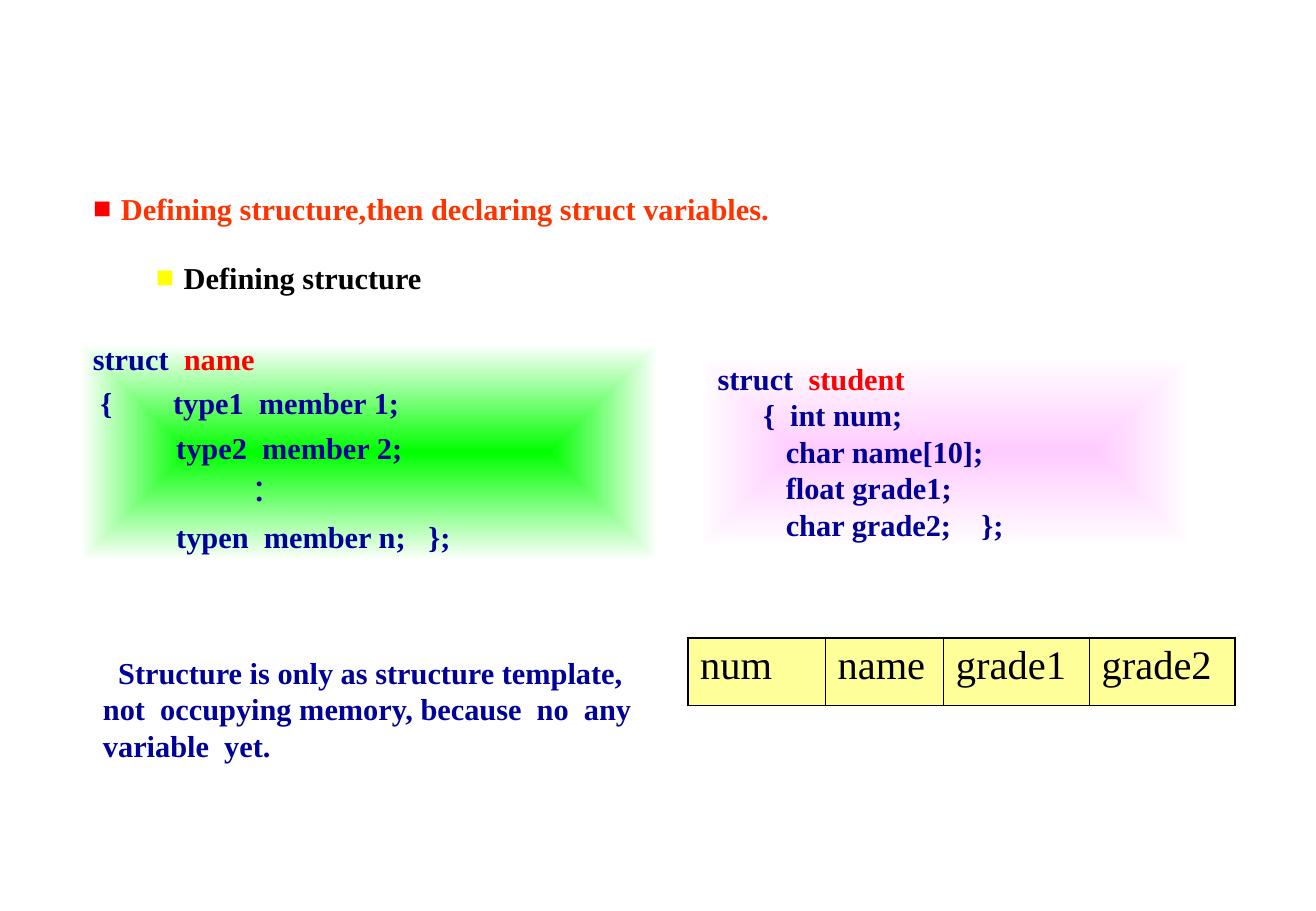
from pptx import Presentation
from pptx.dml.color import RGBColor
from pptx.enum.shapes import MSO_SHAPE
from pptx.enum.text import MSO_ANCHOR, MSO_AUTO_SIZE, PP_ALIGN
from pptx.oxml import parse_xml
from pptx.oxml.ns import nsdecls, qn
from pptx.util import Inches, Pt

RECTANGLE = MSO_SHAPE.RECTANGLE
TOP = MSO_ANCHOR.TOP
LEFT = PP_ALIGN.LEFT
FIXED_SIZE = MSO_AUTO_SIZE.NONE

NAVY = RGBColor(0x00, 0x00, 0x99)
RED = RGBColor(0xFF, 0x00, 0x00)
ORANGE = RGBColor(0xFF, 0x33, 0x00)
YELLOW = RGBColor(0xFF, 0xFF, 0x00)
PALE_YELLOW = RGBColor(0xFF, 0xFF, 0x99)
GREEN = RGBColor(0x00, 0xFF, 0x00)
PINK = RGBColor(0xFF, 0xCC, 0xFF)
BLACK = RGBColor(0x00, 0x00, 0x00)
WHITE = RGBColor(0xFF, 0xFF, 0xFF)

FONT = "Times New Roman"
THICK, THIN = Pt(1.08), Pt(0.45)

TEMPLATE_CODE = [
    "struct  ",
    " {        type1  member 1;",
    "           type2  member 2;",
    "                      ︰",
    "           typen  member n;   };",
]
STUDENT_CODE = [
    " struct  ",
    "       {  int num;",
    "          char name[10];",
    "          float grade1;",
    "          char grade2;    };",
]
MEMBERS = ["num", "name", "grade1", "grade2"]
MEMBER_WIDTHS = [13.6, 11.7, 14.4, 14.4]


def grid(cells):
    """Length of a number of grid cells, twelve to the inch."""
    return Inches(cells / 12)


def place(shape, left, top, width, height):
    shape.left, shape.top = grid(left), grid(top)
    shape.width, shape.height = grid(width), grid(height)


def prepare(frame, wrap=True):
    frame.word_wrap = wrap
    frame.auto_size = FIXED_SIZE
    frame.vertical_anchor = TOP


def write(paragraph, text, size=18, color=NAVY, bold=True, line_spacing=1.0, before=0):
    """Add a run of text to a paragraph and format both."""
    paragraph.alignment = LEFT
    paragraph.line_spacing = line_spacing
    paragraph.space_before = Pt(before)
    run = paragraph.add_run()
    run.text = text
    font = run.font
    font.name, font.size, font.bold = FONT, Pt(size), bold
    font.color.rgb = color


def set_indent(paragraph, margin, indent):
    properties = paragraph._p.get_or_add_pPr()
    properties.set("marL", str(Inches(margin)))
    properties.set("indent", str(Inches(indent)))
    return properties


def write_bullet(placeholder, box, text, color, bullet_color, wrap=True):
    place(placeholder, *box)
    prepare(placeholder.text_frame, wrap)
    paragraph = placeholder.text_frame.paragraphs[0]
    properties = set_indent(paragraph, 0.23, -0.23)
    for tag in (
        f'<a:buClr {nsdecls("a")}><a:srgbClr val="{bullet_color}"/></a:buClr>',
        f'<a:buFont {nsdecls("a")} typeface="{FONT}"/>',
        f'<a:buChar {nsdecls("a")} char="■"/>',
    ):
        properties.append(parse_xml(tag))
    write(paragraph, text, color=color)


def add_code_panel(slide, box, center_color, lines, struct_name, **spacing):
    panel = slide.shapes.add_shape(RECTANGLE, 0, 0, 0, 0)
    place(panel, *box)
    panel.shadow.inherit = False
    panel.line.fill.background()

    # Gradient from the centre to white edges
    panel.fill.gradient()
    for stop, color in zip(panel.fill.gradient_stops, (center_color, WHITE)):
        stop.color.rgb = color
    gradient = panel._element.spPr.find(qn("a:gradFill"))
    gradient.replace(gradient.find(qn("a:lin")), parse_xml(
        f'<a:path {nsdecls("a")} path="rect">'
        '<a:fillToRect l="50000" t="50000" r="50000" b="50000"/></a:path>'))

    frame = panel.text_frame
    prepare(frame)
    write(frame.paragraphs[0], lines[0], **spacing)
    write(frame.paragraphs[0], struct_name, color=RED, **spacing)
    for line in lines[1:]:
        write(frame.add_paragraph(), line, **spacing, before=11.2 if spacing else 0)


def add_note(slide, box, text):
    note = slide.shapes.add_textbox(0, 0, 0, 0)
    place(note, *box)
    prepare(note.text_frame)
    paragraph = note.text_frame.paragraphs[0]
    set_indent(paragraph, 0, 0.125)
    write(paragraph, text)


def set_borders(cell, **widths):
    properties = cell._tc.get_or_add_tcPr()
    for position, side in enumerate("LRTB"):
        properties.insert(position, parse_xml(
            f'<a:ln{side} {nsdecls("a")} w="{widths[side]}"><a:solidFill>'
            f'<a:srgbClr val="{BLACK}"/></a:solidFill></a:ln{side}>'))


def add_member_table(slide, left, top, height):
    columns = len(MEMBERS)
    table = slide.shapes.add_table(
        1, columns, grid(left), grid(top), grid(sum(MEMBER_WIDTHS)), grid(height)).table
    table.first_row = table.horz_banding = False
    for index, (member, width) in enumerate(zip(MEMBERS, MEMBER_WIDTHS)):
        table.columns[index].width = grid(width)
        cell = table.cell(0, index)
        cell.fill.solid()
        cell.fill.fore_color.rgb = PALE_YELLOW
        set_borders(cell, T=THICK, B=THICK,
                    L=THICK if index == 0 else THIN,
                    R=THICK if index == columns - 1 else THIN)
        write(cell.text_frame.paragraphs[0], member, size=24, color=BLACK, bold=False)


def main():
    presentation = Presentation()
    presentation.slide_width, presentation.slide_height = Inches(10.84), Inches(7.5)
    slide = presentation.slides.add_slide(presentation.slide_layouts[1])

    # Headings
    write_bullet(slide.shapes.title, (8, 18.2, 107, 4.8),
                 "Defining structure,then declaring struct variables.", ORANGE, RED)
    write_bullet(slide.placeholders[1], (14.2, 25, 30.5, 4.8),
                 "Defining structure", BLACK, YELLOW, wrap=False)

    # General form and example
    add_code_panel(slide, (8, 34, 57, 21.4), GREEN, TEMPLATE_CODE, "name", line_spacing=0.7)
    add_code_panel(slide, (69, 35, 48.8, 19.2), PINK, STUDENT_CODE, "student")

    # Note and member layout
    add_note(slide, (9, 64, 59, 12),
             "Structure is only as structure template,  not  occupying memory, "
             "because  no  any variable  yet.")
    add_member_table(slide, 68, 63, 6.7)

    presentation.save("out.pptx")


if __name__ == "__main__":
    main()
